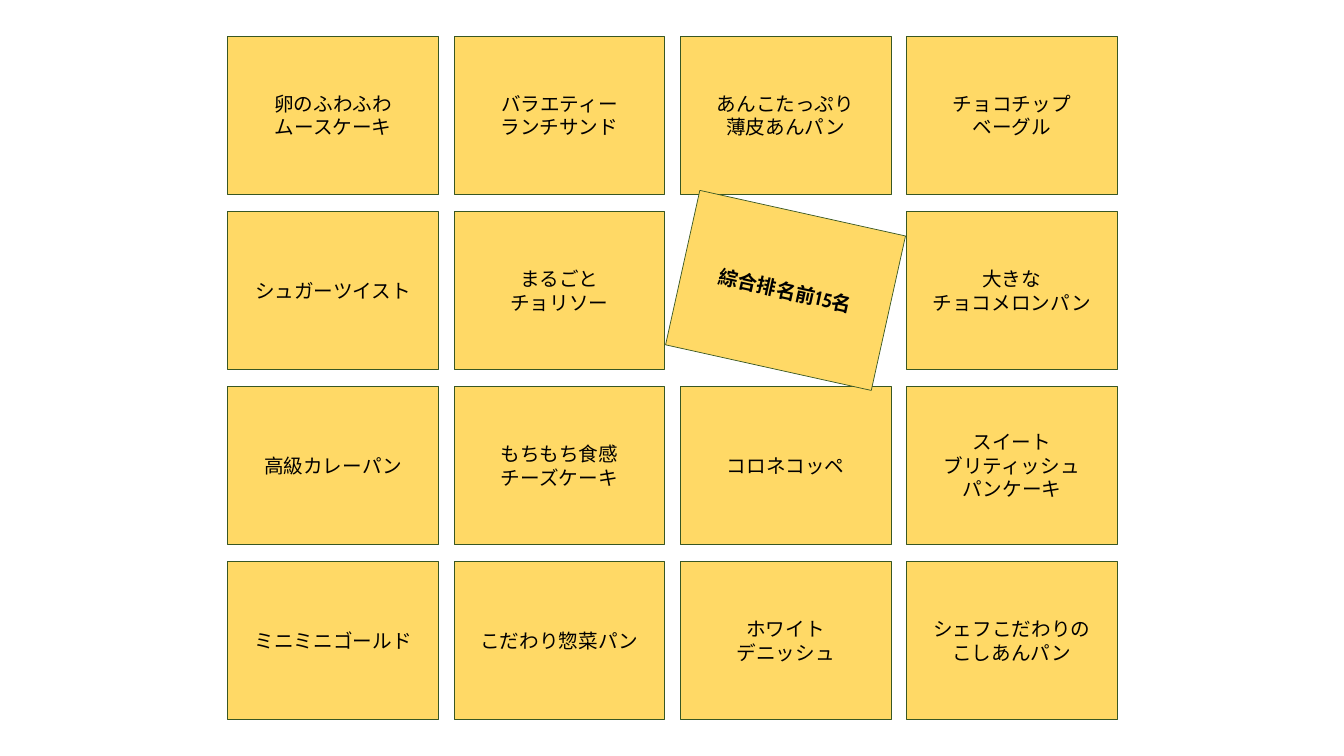
import pptx
import pptx.util
import pptx.dml.color
import pptx.enum.shapes
import pptx.enum.text
from pptx.util import Inches

COLORS = {"card": "FFD966", "border": "385723", "text": "000000"}
FONT = "Cabin"
LEFT, TOP = 2.26, 0.36
CARD_WIDTH, CARD_HEIGHT = 2.09, 1.57
COLUMN_STEP = (8.99 - LEFT) / 3
ROW_STEP = (5.57 - TOP) / 3
HEADLINE = "綜合排名前15名"
HEADLINE_CELL = (1, 2)
HEADLINE_ROTATION = 12.5

BREADS = [
    ["卵のふわふわ\nムースケーキ", "バラエティー\nランチサンド", "あんこたっぷり\n薄皮あんパン", "チョコチップ\nベーグル"],
    ["シュガーツイスト", "まるごと\nチョリソー", None, "大きな\nチョコメロンパン"],
    ["高級カレーパン", "もちもち食感\nチーズケーキ", "コロネコッペ", "スイート\nブリティッシュ\nパンケーキ"],
    ["ミニミニゴールド", "こだわり惣菜パン", "ホワイト\nデニッシュ", "シェフこだわりの\nこしあんパン"],
]


class CardSlide:
    def __init__(self, slide):
        self.slide = slide

    def color(self, name):
        return pptx.dml.color.RGBColor.from_string(COLORS[name])

    def add_text(self, shape, text, bold):
        frame = shape.text_frame
        frame.word_wrap = True
        frame.vertical_anchor = pptx.enum.text.MSO_ANCHOR.MIDDLE
        paragraph = frame.paragraphs[0]
        paragraph.alignment = pptx.enum.text.PP_ALIGN.CENTER
        for index, line in enumerate(text.split("\n")):
            if index:
                paragraph.add_line_break()
            run = paragraph.add_run()
            run.text = line
            run.font.name = FONT
            run.font.size = pptx.util.Pt(14)
            run.font.bold = bold
            run.font.color.rgb = self.color("text")

    def add_card(self, row, column, text, rotation=0, bold=False):
        shape = self.slide.shapes.add_shape(
            pptx.enum.shapes.MSO_SHAPE.RECTANGLE,
            Inches(LEFT + column * COLUMN_STEP),
            Inches(TOP + row * ROW_STEP),
            Inches(CARD_WIDTH),
            Inches(CARD_HEIGHT),
        )
        shape.rotation = rotation
        shape.shadow.inherit = False
        shape.fill.solid()
        shape.fill.fore_color.rgb = self.color("card")
        shape.line.color.rgb = self.color("border")
        shape.line.width = pptx.util.Pt(0.5)
        self.add_text(shape, text, bold)


def main():
    presentation = pptx.Presentation()
    presentation.slide_width = Inches(13.33)
    presentation.slide_height = Inches(7.5)
    slide = presentation.slides.add_slide(presentation.slide_layouts[6])
    cards = CardSlide(slide)
    for row, names in enumerate(BREADS):
        for column, name in enumerate(names):
            if name:
                cards.add_card(row, column, name)
    cards.add_card(*HEADLINE_CELL, HEADLINE, rotation=HEADLINE_ROTATION, bold=True)
    presentation.save("out.pptx")


if __name__ == "__main__":
    main()
